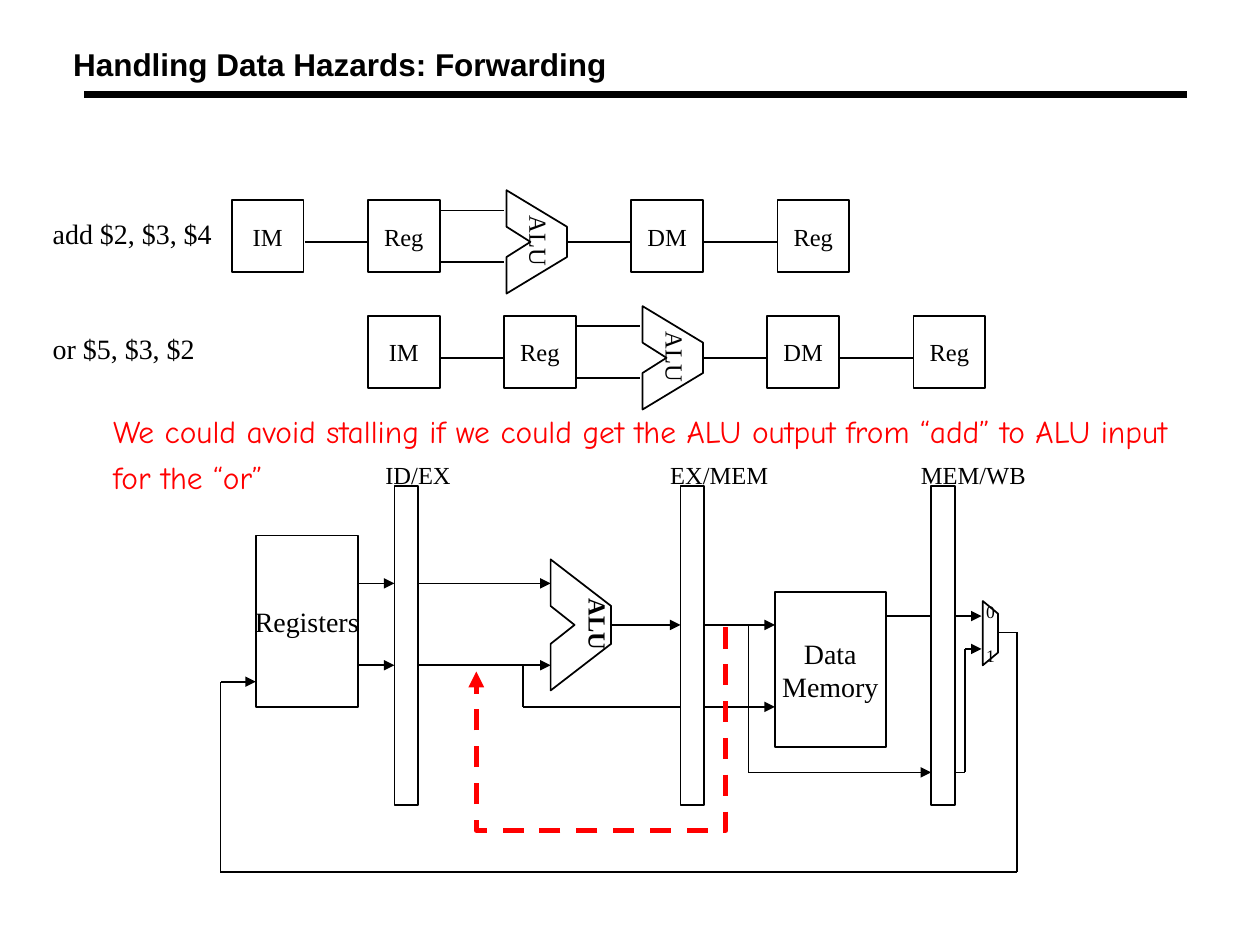
"""Build a slide on forwarding as a remedy for data hazards."""
import dataclasses

import pptx
import pptx.dml.color
import pptx.enum.dml
import pptx.enum.shapes
import pptx.enum.text
import pptx.oxml
import pptx.oxml.ns
import pptx.util
from pptx.util import Inches


@dataclasses.dataclass
class Theme:
    ink: str = "000000"
    paper: str = "FFFFFF"
    alert: str = "FF0000"
    serif: str = "Times New Roman"
    sans: str = "Arial"
    casual: str = "Comic Neue"
    title: int = 18
    large: int = 16
    mid: int = 14
    small: int = 10
    thin: float = 1
    thick: float = 3
    rule: float = 4.5


theme = Theme()
color = pptx.dml.color.RGBColor.from_string
align = pptx.enum.text.PP_ALIGN
anchor = pptx.enum.text.MSO_ANCHOR
head_xml = f'<a:tailEnd {pptx.oxml.ns.nsdecls("a")} type="triangle"/>'
flat_xml = f'<a:effectLst {pptx.oxml.ns.nsdecls("a")}/>'

deck = pptx.Presentation()
deck.slide_width, deck.slide_height = Inches(10), Inches(7.5)
slide = deck.slides.add_slide(deck.slide_layouts[5])
shapes = slide.shapes


def label(shape, text, size, font=theme.serif, ink=theme.ink, bold=False, side=align.LEFT):
    frame = shape.text_frame
    frame.text = text
    frame.word_wrap = False
    for par in frame.paragraphs:
        par.alignment = side
        for run in par.runs:
            run.font.name, run.font.size, run.font.bold = font, pptx.util.Pt(size), bold
            run.font.color.rgb = color(ink)
    return frame


def wire(*points, head=False, width=theme.thin):
    for start, end in zip(points, points[1:]):
        line = shapes.add_connector(
            pptx.enum.shapes.MSO_CONNECTOR.STRAIGHT, *map(Inches, start + end))
        line.line.color.rgb = color(theme.ink)
        line.line.width = pptx.util.Pt(width)
        line._element.spPr.append(pptx.oxml.parse_xml(flat_xml))
    if head:
        line.line._get_or_add_ln().append(pptx.oxml.parse_xml(head_xml))


title = shapes.title
title.left, title.top, title.width, title.height = map(Inches, (0.51, 0.33, 4.38, 0.36))
frame = label(title, "Handling Data Hazards: Forwarding", theme.title, theme.sans, bold=True)
frame.vertical_anchor = anchor.TOP
frame.auto_size = pptx.enum.text.MSO_AUTO_SIZE.NONE
frame.margin_left = frame.margin_right = Inches(0.07)
frame.margin_top = frame.margin_bottom = Inches(0.03)
wire((0.67, 0.75), (9.42, 0.75), width=theme.rule)

boxes = [
    (2.03, 4.25, 0.81, 1.36, "Registers", theme.large),
    (6.15, 4.7, 0.88, 1.23, "Data\nMemory", theme.large),
]
alus = [(4.37, 4.96, 0.52, 0.15, 0.38, True)]
for left, top in ((1.84, 1.59), (2.92, 2.51)):
    for step, name in ((0, "IM"), (1.08, "Reg"), (3.17, "DM"), (4.33, "Reg")):
        boxes.append((left + step, top, 0.57, 0.57, name, theme.mid))
    for start, end, drop in ((0.58, 1.08, 0.33), (1.66, 2.16, 0.08), (1.66, 2.16, 0.49),
                             (2.66, 3.16, 0.33), (3.74, 4.33, 0.33)):
        wire((left + start, top + drop), (left + end, top + drop))
    alus.append((left + 2.18, top + 0.33, 0.41, 0.12, 0.26, False))

for y in (4.63, 5.28):
    wire((2.85, y), (3.13, y), head=True)
    wire((3.32, y), (4.37, y), head=True)
wire((4.84, 4.96), (5.4, 4.96), head=True)
wire((5.59, 4.96), (6.15, 4.96), head=True)
wire((4.15, 5.28), (4.15, 5.61), (6.15, 5.61), head=True)
wire((5.94, 4.96), (5.94, 6.13), (7.39, 6.13), head=True)
wire((7.04, 4.89), (7.79, 4.89), head=True)
wire((7.58, 6.13), (7.66, 6.13), (7.66, 5.15), (7.79, 5.15), head=True)
wire((7.93, 5.02), (8.07, 5.02), (8.07, 6.92), (1.75, 6.92), (1.75, 5.41), (2.03, 5.41),
     head=True)

for left in (3.13, 5.4, 7.39):
    boxes.append((left, 3.86, 0.19, 2.53, "", theme.mid))
for left, top, width, height, text, size in boxes:
    box = shapes.add_shape(pptx.enum.shapes.MSO_SHAPE.RECTANGLE,
                           *map(Inches, (left, top, width, height)))
    box.shadow.inherit = False
    box.line.color.rgb = color(theme.ink)
    box.line.width = pptx.util.Pt(theme.thin)
    if text:
        box.fill.background()
        label(box, text, size, side=align.CENTER).vertical_anchor = anchor.MIDDLE
    else:
        box.fill.solid()
        box.fill.fore_color.rgb = color(theme.paper)

paths = []
for x, y, half, lip, shift, bold in alus:
    paths.append(([(x, y - half), (x + 0.48, y - lip), (x + 0.48, y + lip), (x, y + half),
                   (x, y + lip), (x + 0.19, y), (x, y - lip)], True, theme.ink, theme.thin))
    note = shapes.add_textbox(*map(Inches, (x + shift - 0.38, y - 0.17, 0.76, 0.33)))
    note.rotation = 90
    label(note, "ALU", theme.mid, bold=bold, side=align.CENTER)
paths.append(([(5.76, 4.98), (5.76, 6.59), (3.78, 6.59), (3.78, 5.33)],
              False, theme.alert, theme.thick))
paths.append(([(7.8, 4.77), (7.92, 4.87), (7.92, 5.18), (7.8, 5.28)],
              True, theme.ink, theme.thin))
for points, closed, ink, width in paths:
    spots = [(Inches(x), Inches(y)) for x, y in points]
    pen = shapes.build_freeform(*spots[0], scale=1.0)
    pen.add_line_segments(spots[1:], close=closed)
    form = pen.convert_to_shape()
    form.shadow.inherit = False
    form.fill.background()
    form.line.color.rgb = color(ink)
    form.line.width = pptx.util.Pt(width)
    if not closed:
        form.line.dash_style = pptx.enum.dml.MSO_LINE.DASH
        form.line._get_or_add_ln().append(pptx.oxml.parse_xml(head_xml))

mux = label(form, "0\n1", theme.small, side=align.CENTER)
mux.vertical_anchor = anchor.MIDDLE
mux.margin_left = mux.margin_right = mux.margin_top = mux.margin_bottom = 0
mux.paragraphs[1].space_before = pptx.util.Pt(13)

for left, top, width, height, text, size in (
    (2.96, 3.6, 0.85, 0.33, "ID/EX", theme.mid),
    (5.22, 3.6, 1.1, 0.33, "EX/MEM", theme.mid),
    (7.21, 3.6, 1.2, 0.33, "MEM/WB", theme.mid),
    (0.32, 1.67, 1.52, 0.36, "add $2, $3, $4", theme.large),
    (0.32, 2.58, 1.52, 0.36, "or $5, $3, $2", theme.large),
):
    note = shapes.add_textbox(*map(Inches, (left, top, width, height)))
    label(note, text, size).word_wrap = True

claim = label(
    shapes.add_textbox(*map(Inches, (0.8, 3.22, 8.63, 0.77))),
    "We could avoid stalling if we could get the ALU output from “add” to ALU input\n"
    "for the “or”", theme.title, theme.casual, theme.alert)
for par in claim.paragraphs:
    par.space_before = pptx.util.Pt(4.5)

deck.save("out.pptx")
